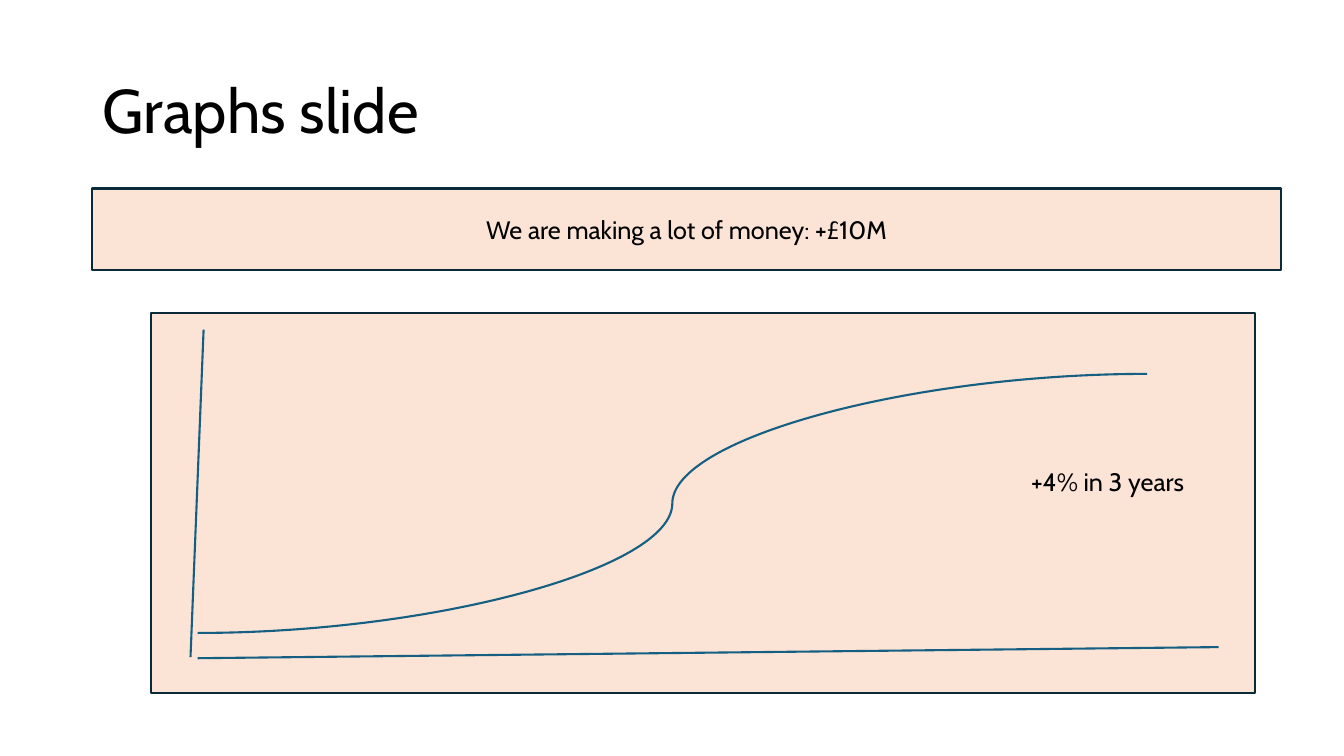
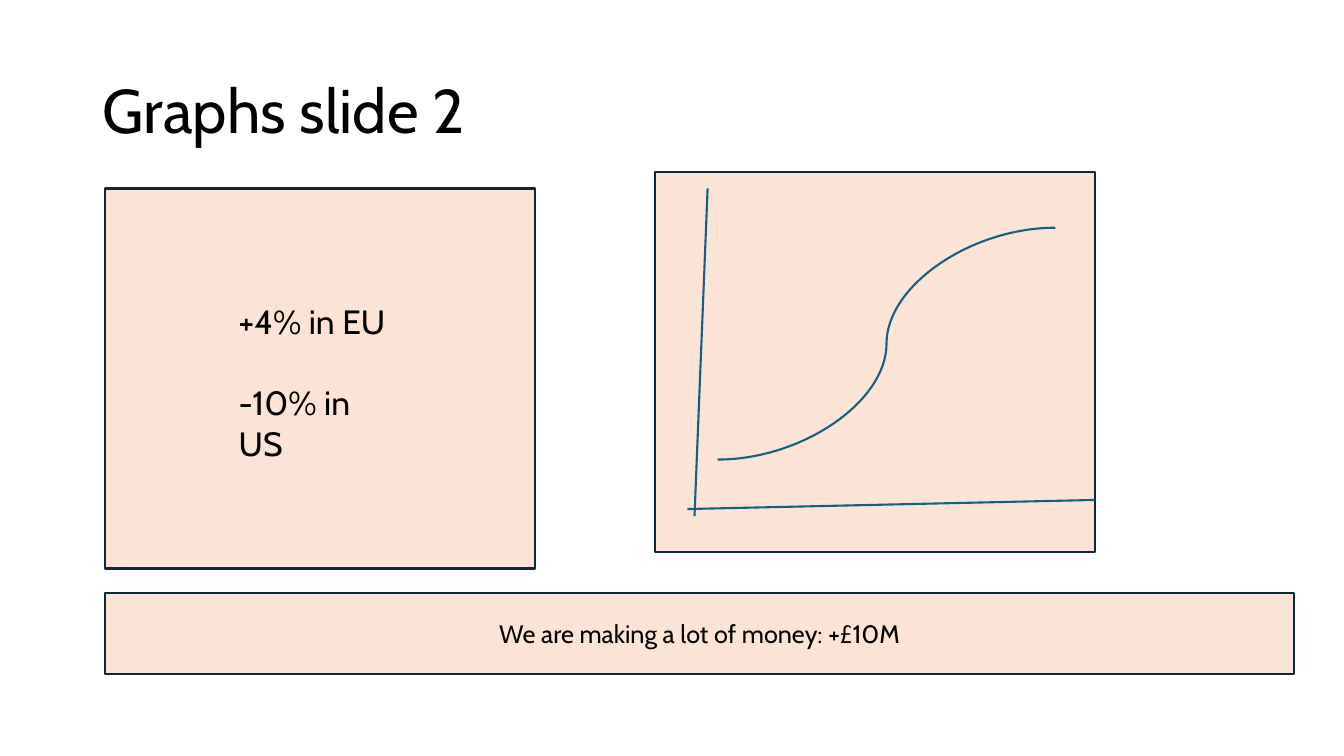
from dataclasses import dataclass
from typing import NamedTuple

from lxml.etree import SubElement
from pptx import Presentation
from pptx.dml.color import RGBColor
from pptx.enum.shapes import MSO_CONNECTOR, MSO_SHAPE
from pptx.enum.text import MSO_ANCHOR, PP_ALIGN
from pptx.oxml.ns import qn
from pptx.presentation import Presentation as Deck
from pptx.slide import Slide
from pptx.text.text import TextFrame
from pptx.util import Inches, Pt

WIDE, HIGH = Inches(13.33), Inches(7.5)
COLS, ROWS = 40, 30


@dataclass(frozen=True)
class Theme:
    font: str = "Cabin"
    ink: RGBColor = RGBColor(0x00, 0x00, 0x00)
    fill: RGBColor = RGBColor(0xFB, 0xE3, 0xD6)
    edge: RGBColor = RGBColor(0x09, 0x2A, 0x39)
    plot: RGBColor = RGBColor(0x15, 0x60, 0x82)
    title: int = 44
    large: int = 24
    body: int = 18
    stroke: float = 1.5


class Spot(NamedTuple):
    col: float
    row: float


class Box(NamedTuple):
    col: float
    row: float
    cols: float
    rows: float


class Stroke(NamedTuple):
    start: Spot
    end: Spot
    kind: MSO_CONNECTOR = MSO_CONNECTOR.STRAIGHT


class Note(NamedTuple):
    box: Box
    lines: list[str]
    size: int
    gap: int = 0


class Page(NamedTuple):
    title: str
    banner: Spot
    panels: list[Box]
    graph: Box
    base: Stroke
    curve: Stroke
    note: Note


THEME = Theme()
TITLE = Box(2.76, 1.6, 34.5, 5.8)
BANNER = "We are making a lot of money: +£10M"
BAND = (35.4, 3.24)
TALL = 15.08
# The upright axis keeps the same offsets from its graph panel.
AXIS = (Spot(1.56, 0.64), Spot(1.17, 13.64))

PAGES = [
    Page(
        title="Graphs slide",
        banner=Spot(2.73, 7.48),
        panels=[],
        graph=Box(4.5, 12.44, 32.85, TALL),
        base=Stroke(Spot(5.88, 26.12), Spot(36.27, 25.68)),
        curve=Stroke(Spot(5.88, 25.12), Spot(34.14, 14.84), MSO_CONNECTOR.CURVE),
        note=Note(Box(30.39, 18.32, 5.58, 1.6), ["+4% in 3 years"], THEME.body),
    ),
    Page(
        title="Graphs slide 2",
        banner=Spot(3.12, 23.52),
        panels=[Box(3.12, 7.48, 12.81, TALL)],
        graph=Box(19.5, 6.84, 13.08, TALL),
        base=Stroke(Spot(20.46, 20.2), Spot(32.58, 19.84)),
        curve=Stroke(Spot(21.36, 18.24), Spot(31.41, 9.04), MSO_CONNECTOR.CURVE),
        note=Note(
            Box(6.81, 11.76, 5.4, 5.24),
            ["+4% in EU", "-10% in US"],
            THEME.large,
            gap=29,
        ),
    ),
]


def across(cols: float) -> int:
    return round(WIDE * cols / COLS)


def down(rows: float) -> int:
    return round(HIGH * rows / ROWS)


def frame(box: Box) -> tuple[int, int, int, int]:
    """Turn grid units into left, top, width and height."""
    return across(box.col), down(box.row), across(box.cols), down(box.rows)


def style(text: TextFrame, size: int, align: PP_ALIGN = PP_ALIGN.LEFT) -> None:
    text.word_wrap = True
    for para in text.paragraphs:
        para.alignment = align
        for run in para.runs:
            run.font.name = THEME.font
            run.font.size = Pt(size)
            run.font.color.rgb = THEME.ink


def add_title(slide: Slide, words: str) -> None:
    title = slide.shapes.title
    title.left, title.top, title.width, title.height = frame(TITLE)
    text = title.text_frame
    text.text = words
    text.vertical_anchor = MSO_ANCHOR.MIDDLE
    text.paragraphs[0].line_spacing = 0.9
    style(text, THEME.title)


def add_panel(slide: Slide, box: Box, words: str = "") -> None:
    panel = slide.shapes.add_shape(MSO_SHAPE.RECTANGLE, *frame(box))
    panel.shadow.inherit = False
    panel.fill.solid()
    panel.fill.fore_color.rgb = THEME.fill
    panel.line.color.rgb = THEME.edge
    panel.line.width = Pt(THEME.stroke)
    if words:
        text = panel.text_frame
        text.text = words
        text.vertical_anchor = MSO_ANCHOR.MIDDLE
        style(text, THEME.body, PP_ALIGN.CENTER)


def add_stroke(slide: Slide, stroke: Stroke) -> None:
    start, end, kind = stroke
    line = slide.shapes.add_connector(
        kind, across(start.col), down(start.row), across(end.col), down(end.row)
    )
    line.line.color.rgb = THEME.plot
    line.line.width = Pt(THEME.stroke)
    SubElement(line._element.spPr, qn("a:effectLst"))


def add_graph(slide: Slide, page: Page) -> None:
    add_panel(slide, page.graph)
    top, foot = (
        Spot(page.graph.col + spot.col, page.graph.row + spot.row) for spot in AXIS
    )
    for stroke in (Stroke(top, foot), page.base, page.curve):
        add_stroke(slide, stroke)


def add_note(slide: Slide, note: Note) -> None:
    text = slide.shapes.add_textbox(*frame(note.box)).text_frame
    text.text = "\n".join(note.lines)
    for para in text.paragraphs[1:]:
        para.space_before = Pt(note.gap)
    style(text, note.size)


def add_page(deck: Deck, page: Page) -> None:
    slide = deck.slides.add_slide(deck.slide_layouts.get_by_name("Title Only"))
    add_title(slide, page.title)
    add_panel(slide, Box(*page.banner, *BAND), BANNER)
    for box in page.panels:
        add_panel(slide, box)
    add_graph(slide, page)
    add_note(slide, page.note)


def main() -> None:
    deck = Presentation()
    deck.slide_width, deck.slide_height = WIDE, HIGH
    for page in PAGES:
        add_page(deck, page)
    deck.save("out.pptx")


if __name__ == "__main__":
    main()
